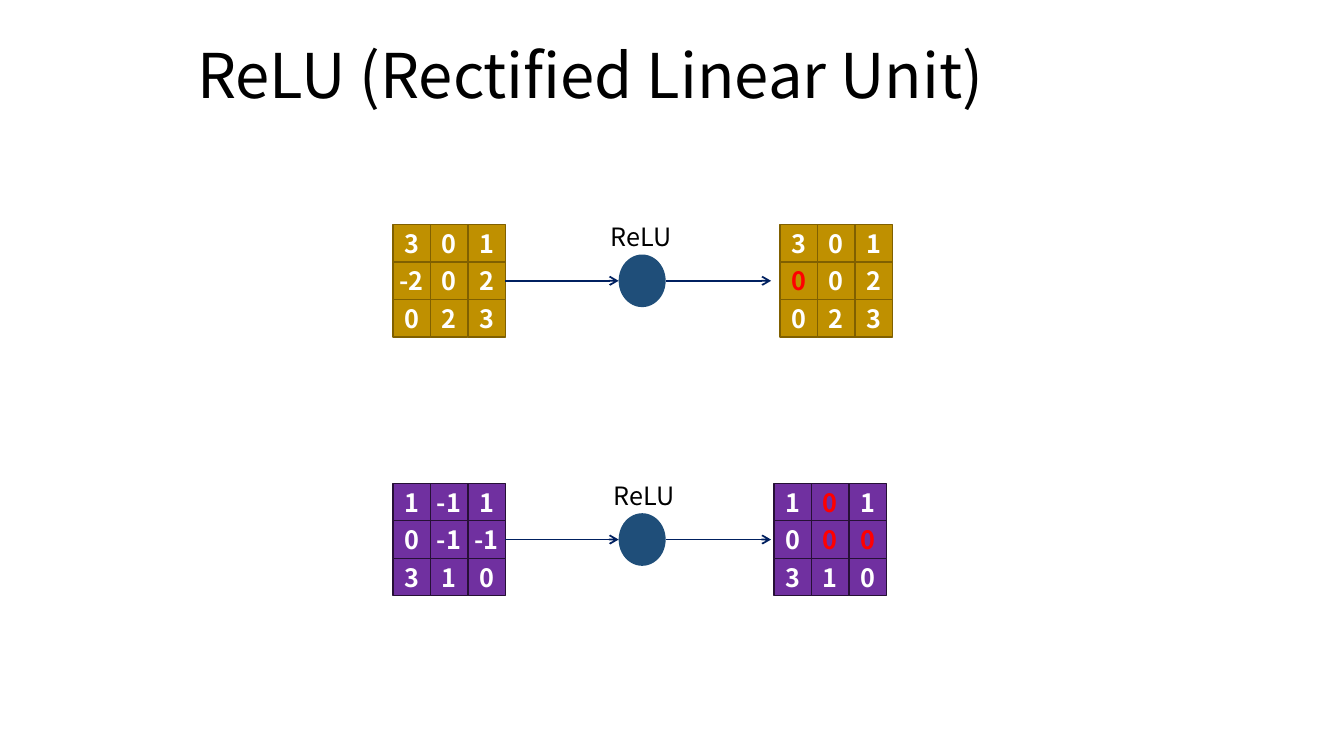
from dataclasses import dataclass

from lxml import etree
from pptx import Presentation
from pptx.dml.color import RGBColor
from pptx.enum.shapes import MSO_CONNECTOR, MSO_SHAPE
from pptx.enum.text import MSO_ANCHOR, PP_ALIGN
from pptx.oxml.ns import qn
from pptx.util import Pt

RECTANGLE, OVAL = MSO_SHAPE.RECTANGLE, MSO_SHAPE.OVAL
STRAIGHT = MSO_CONNECTOR.STRAIGHT
LEFT, CENTER = PP_ALIGN.LEFT, PP_ALIGN.CENTER
TOP, MIDDLE = MSO_ANCHOR.TOP, MSO_ANCHOR.MIDDLE


@dataclass(frozen=True)
class Theme:
    font: str = "Noto Sans CJK KR"
    title_size: int = 44
    body_size: int = 18
    text: str = "000000"
    cell_text: str = "FFFFFF"
    rectified: str = "FF0000"
    neuron: str = "1F4E79"
    arrow: str = "002060"
    gold: tuple = ("BF9000", "806000")
    purple: tuple = ("7030A0", "261036")


def rgb(value):
    return RGBColor.from_string(value)


def write_text(shape, text, *, font, size, color, bold=False, align=LEFT,
               anchor=TOP, wrap=True, line_spacing=None):
    frame = shape.text_frame
    frame.word_wrap = wrap
    frame.vertical_anchor = anchor
    paragraph = frame.paragraphs[0]
    paragraph.alignment = align
    if line_spacing:
        paragraph.line_spacing = line_spacing
    run = paragraph.add_run()
    run.text = text
    run.font.name = font
    run.font.size = Pt(size)
    run.font.bold = bold
    run.font.color.rgb = rgb(color)
    # East Asian typeface follows the Latin one
    etree.SubElement(run.font._element, qn("a:ea"), typeface=font)


class SlideBuilder:
    def __init__(self, slide, theme):
        self.slide = slide
        self.theme = theme

    def label(self, text, left, top, width, height, size, **text_format):
        box = self.slide.shapes.add_textbox(
            Pt(left), Pt(top), Pt(width), Pt(height))
        write_text(box, text, font=self.theme.font, size=size,
                   color=self.theme.text, **text_format)

    def shape(self, parent, kind, left, top, width, height, fill, outline=None):
        shape = parent.add_shape(kind, Pt(left), Pt(top), Pt(width), Pt(height))
        shape.shadow.inherit = False
        shape.fill.solid()
        shape.fill.fore_color.rgb = rgb(fill)
        if outline:
            shape.line.color.rgb = rgb(outline)
            shape.line.width = Pt(1)
        else:
            shape.line.fill.background()
        return shape

    def matrix(self, values, left, top, colors, highlighted=()):
        cells = self.slide.shapes.add_group_shape().shapes
        for row, numbers in enumerate(values):
            for column, number in enumerate(numbers):
                cell = self.shape(cells, RECTANGLE, left + column * CELL,
                                  top + row * CELL, CELL, CELL, *colors)
                marked = (row, column) in highlighted
                write_text(
                    cell, str(number), font=self.theme.font,
                    size=self.theme.body_size, bold=True, align=CENTER,
                    anchor=MIDDLE, wrap=False,
                    color=self.theme.rectified if marked else self.theme.cell_text)

    def arrow(self, start, end, y):
        arrow = self.slide.shapes.add_connector(
            STRAIGHT, Pt(start), Pt(y), Pt(end), Pt(y))
        arrow.line.color.rgb = rgb(self.theme.arrow)
        arrow.line.width = Pt(1.25)
        etree.SubElement(arrow.line._get_or_add_ln(), qn("a:tailEnd"), type="arrow")
        etree.SubElement(arrow._element.spPr, qn("a:effectLst"))


# Geometry in points
CELL = 26.8
INPUT_LEFT = 280.6
INPUT_RIGHT = INPUT_LEFT + 3 * CELL
NEURON_LEFT, NEURON_WIDTH, NEURON_HEIGHT = 441.9, 33.6, 37.6
ARROW_END = 550.8
FIRST_TOP, ROW_PITCH = 160.4, 184.8


def main():
    theme = Theme()
    presentation = Presentation()
    presentation.slide_width, presentation.slide_height = Pt(960), Pt(540)
    slide = presentation.slides.add_slide(presentation.slide_layouts[6])
    builder = SlideBuilder(slide, theme)

    # Title
    builder.label("ReLU (Rectified Linear Unit)", 133.9, 17.3, 650.2, 77.8,
                  theme.title_size, anchor=MIDDLE, line_spacing=0.9)

    # Each example: input values, colours, output left, label left
    examples = [
        ([[3, 0, 1], [-2, 0, 2], [0, 2, 3]], theme.gold, 557.2, 429.1),
        ([[1, -1, 1], [0, -1, -1], [3, 1, 0]], theme.purple, 552.8, 431.3),
    ]
    for index, (inputs, colors, output_left, label_left) in enumerate(examples):
        top = FIRST_TOP + index * ROW_PITCH
        middle = top + 1.5 * CELL

        # Input matrix and rectified output
        outputs = [[max(0, number) for number in row] for row in inputs]
        negatives = {(r, c) for r, row in enumerate(inputs)
                     for c, number in enumerate(row) if number < 0}
        builder.matrix(inputs, INPUT_LEFT, top, colors)
        builder.matrix(outputs, output_left, top, colors, negatives)

        # Neuron with its arrows and label
        builder.shape(slide.shapes, OVAL, NEURON_LEFT, middle - NEURON_HEIGHT / 2,
                      NEURON_WIDTH, NEURON_HEIGHT, theme.neuron)
        builder.arrow(INPUT_RIGHT, NEURON_LEFT, middle)
        builder.arrow(NEURON_LEFT + NEURON_WIDTH, ARROW_END, middle)
        builder.label("ReLU", label_left, top - 5.6, 59.8, 29.1, theme.body_size)

    presentation.save("out.pptx")


if __name__ == "__main__":
    main()
